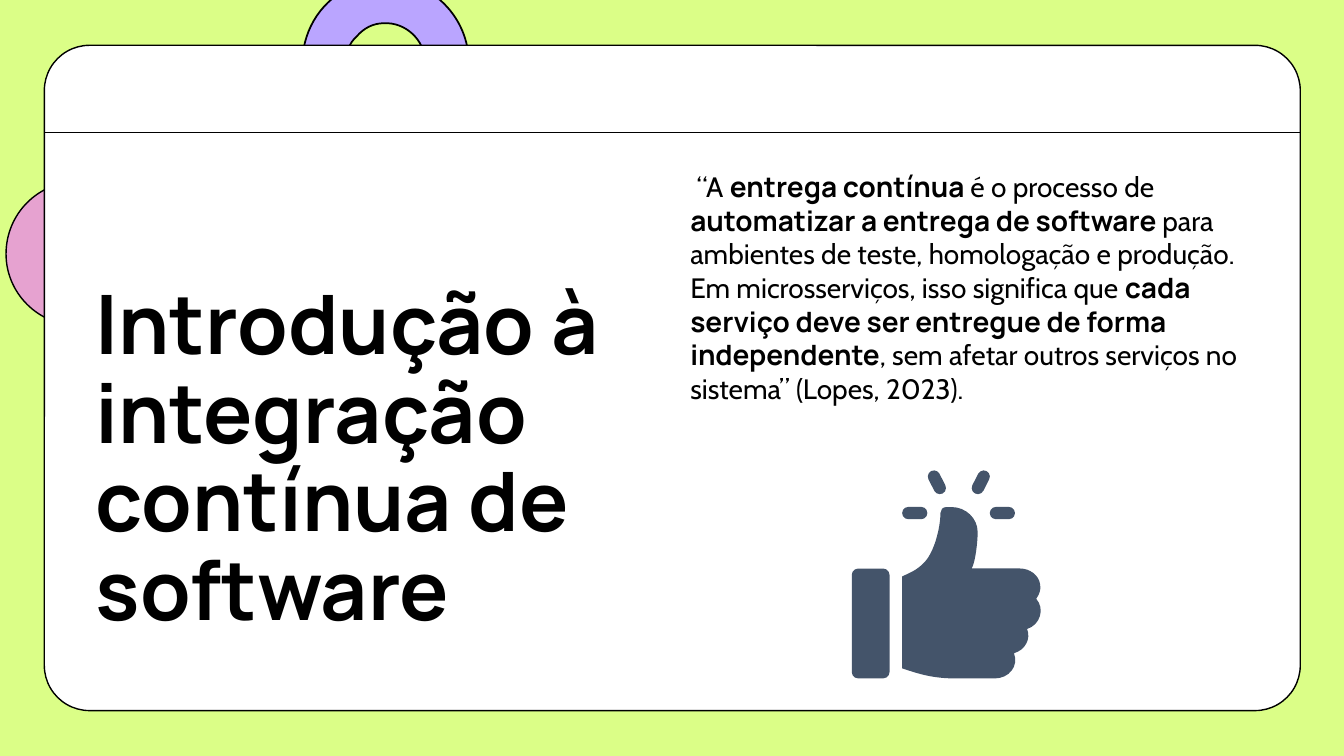
from lxml.etree import SubElement
from pptx import Presentation
from pptx.dml.color import RGBColor
from pptx.enum.shapes import MSO_CONNECTOR, MSO_SHAPE
from pptx.enum.text import MSO_ANCHOR, MSO_AUTO_SIZE, PP_ALIGN
from pptx.oxml.ns import qn
from pptx.util import Pt

TITLE = "Introdução à integração contínua de software"
QUOTE = [
    (" “A ", False),
    ("entrega contínua ", True),
    ("é o processo de ", False),
    ("automatizar a entrega de software ", True),
    ("para ambientes de teste, homologação e produção. "
     "Em microsserviços, isso significa que ", False),
    ("cada serviço deve ser entregue de forma independente", True),
    (", sem afetar outros serviços no sistema” (Lopes, 2023).", False),
]

LIME, LILAC, PINK = "DBFE87", "BAA5FF", "E6A2D0"
WHITE, BLACK, SLATE = "FFFFFF", "000000", "44546A"

CARD = (31.7, 32.4, 897.1, 475.2)
CARD_RULE_TOP = 94.6
TITLE_BOX = (61.2, 319.8, 501.1, 139.7)
QUOTE_BOX = (486, 117.6, 429.1, 177.1)

ARCH = [
    (247.7, -7.9),
    (254.9, -11.5, 263.5, -14.4, 272.9, -15.1),
    (305.3, -15.8, 333.4, 9.4, 334.8, 42.5),
    (335.5, 50.4, 328.3, 58.3, 319.7, 58.3),
    (311, 59, 303.8, 51.8, 303.8, 43.9),
    (303.1, 28.1, 289.4, 15.8, 274.3, 16.6),
    (266.4, 16.6, 259.9, 20.2, 254.9, 25.9),
    (249.1, 31, 247, 38.2, 247, 46.1),
    (247.7, 54.7, 241.2, 61.9, 232.6, 62.6),
    (223.9, 62.6, 216.7, 56.2, 216, 47.5),
    (215.3, 23.8, 227.5, 2.9, 247.7, -7.9),
]
HALF_CIRCLE = [
    (4.3, 181.4),
    (4.3, 209.5, 27.4, 232.6, 56.2, 232.6),
    (56.2, 129.6),
    (27.4, 129.6, 4.3, 152.6, 4.3, 181.4),
]
HAND = [
    (676.1, 362.2),
    (673.2, 362.2, 671.8, 364.3, 671.8, 366.5),
    (671.8, 376.6, 667.4, 395.3, 659.5, 402.5),
    (654.5, 407.5, 650.2, 409, 644.4, 411.8),
    (644.4, 477.4),
    (653, 480.2, 664.6, 484.6, 681.8, 484.6),
    (710.6, 484.6),
    (720.7, 484.6, 727.9, 475.9, 724.3, 466.6),
    (732.2, 464.4, 736.6, 456.5, 733.7, 449.3),
    (743, 446.4, 746.6, 434.9, 740.2, 427.7),
    (742.3, 424.8, 743.8, 421.2, 743, 417.6),
    (742.3, 411.1, 735.8, 406.1, 728.6, 406.1),
    (694.1, 406.1),
    (697, 401, 698.4, 385.9, 698.4, 380.2),
    (698.4, 370.1, 689.8, 362.2, 679.7, 362.2),
]
CUFF = (608.4, 406.1, 27, 78.5)
SPARK_WIDTH, SPARK_HEIGHT = 18, 8.8
SPARKS = [(716, 366.5, 0), (669.2, 344.5, 63), (700.6, 344.5, -63), (653.4, 366.5, 0)]


def color(value):
    return RGBColor.from_string(value)


def points(values):
    return [Pt(value) for value in values]


def paint(shape, fill, line_width=0):
    shape.shadow.inherit = False
    shape.fill.solid()
    shape.fill.fore_color.rgb = color(fill)
    if line_width:
        shape.line.color.rgb = color(BLACK)
        shape.line.width = Pt(line_width)
    else:
        shape.line.fill.background()


def add_outline(slide, outline, fill, line_width=0):
    corners = [points(segment[-2:]) for segment in outline]
    builder = slide.shapes.build_freeform(*corners[0])
    builder.add_line_segments(corners[1:], close=False)
    shape = builder.convert_to_shape()
    outline_path = next(shape._element.iter(qn("a:path")))
    for child in list(outline_path):
        outline_path.remove(child)
    for index, segment in enumerate(outline):
        command = "a:cubicBezTo" if len(segment) == 6 else "a:lnTo"
        step = SubElement(outline_path, qn(command if index else "a:moveTo"))
        for x, y in zip(points(segment[::2]), points(segment[1::2])):
            SubElement(step, qn("a:pt"), x=str(x - shape.left), y=str(y - shape.top))
    SubElement(outline_path, qn("a:close"))
    paint(shape, fill, line_width)


def add_rounded(slide, box, roundness, fill, line_width=0):
    shape = slide.shapes.add_shape(MSO_SHAPE.ROUNDED_RECTANGLE, *points(box))
    shape.adjustments[0] = roundness
    paint(shape, fill, line_width)
    return shape


def format_run(run, font_name, size, bold):
    run.font.name = font_name
    run.font.size = Pt(size)
    run.font.bold = bold
    run.font.color.rgb = color(BLACK)


def add_card(slide):
    left, top, width, height = CARD
    add_rounded(slide, CARD, 0.068, WHITE, 1)
    ends = points((left, CARD_RULE_TOP, left + width, CARD_RULE_TOP))
    rule = slide.shapes.add_connector(MSO_CONNECTOR.STRAIGHT, *ends)
    rule.line.color.rgb = color(BLACK)
    rule.line.width = Pt(1)
    SubElement(rule._element.spPr, qn("a:effectLst"))


def place_title(slide):
    title = slide.shapes.title
    slide.shapes._spTree.append(title._element)
    title.left, title.top, title.width, title.height = points(TITLE_BOX)
    frame = title.text_frame
    frame.text = TITLE
    frame.word_wrap = True
    frame.auto_size = MSO_AUTO_SIZE.NONE
    frame.vertical_anchor = MSO_ANCHOR.BOTTOM
    paragraph = frame.paragraphs[0]
    paragraph.alignment = PP_ALIGN.LEFT
    paragraph.line_spacing = 0.9
    format_run(paragraph.runs[0], "Manrope", 58.67, True)


def add_quote(slide):
    frame = slide.shapes.add_textbox(*points(QUOTE_BOX)).text_frame
    frame.word_wrap = True
    frame.auto_size = MSO_AUTO_SIZE.SHAPE_TO_FIT_TEXT
    for text, strong in QUOTE:
        run = frame.paragraphs[0].add_run()
        run.text = text
        format_run(run, "Manrope" if strong else "Cabin", 20, strong)


def add_thumbs_up(slide):
    for center_x, center_y, rotation in SPARKS:
        box = (center_x - SPARK_WIDTH / 2, center_y - SPARK_HEIGHT / 2,
               SPARK_WIDTH, SPARK_HEIGHT)
        add_rounded(slide, box, 0.5, SLATE).rotation = rotation
    add_rounded(slide, CUFF, 0.17, SLATE)
    add_outline(slide, HAND, SLATE)


def main():
    presentation = Presentation()
    presentation.slide_width, presentation.slide_height = Pt(960), Pt(540)
    slide = presentation.slides.add_slide(presentation.slide_layouts[5])
    slide.background.fill.solid()
    slide.background.fill.fore_color.rgb = color(LIME)
    add_outline(slide, ARCH, LILAC, 1.25)
    add_outline(slide, HALF_CIRCLE, PINK, 1)
    add_card(slide)
    place_title(slide)
    add_quote(slide)
    add_thumbs_up(slide)
    presentation.save("out.pptx")


if __name__ == "__main__":
    main()
